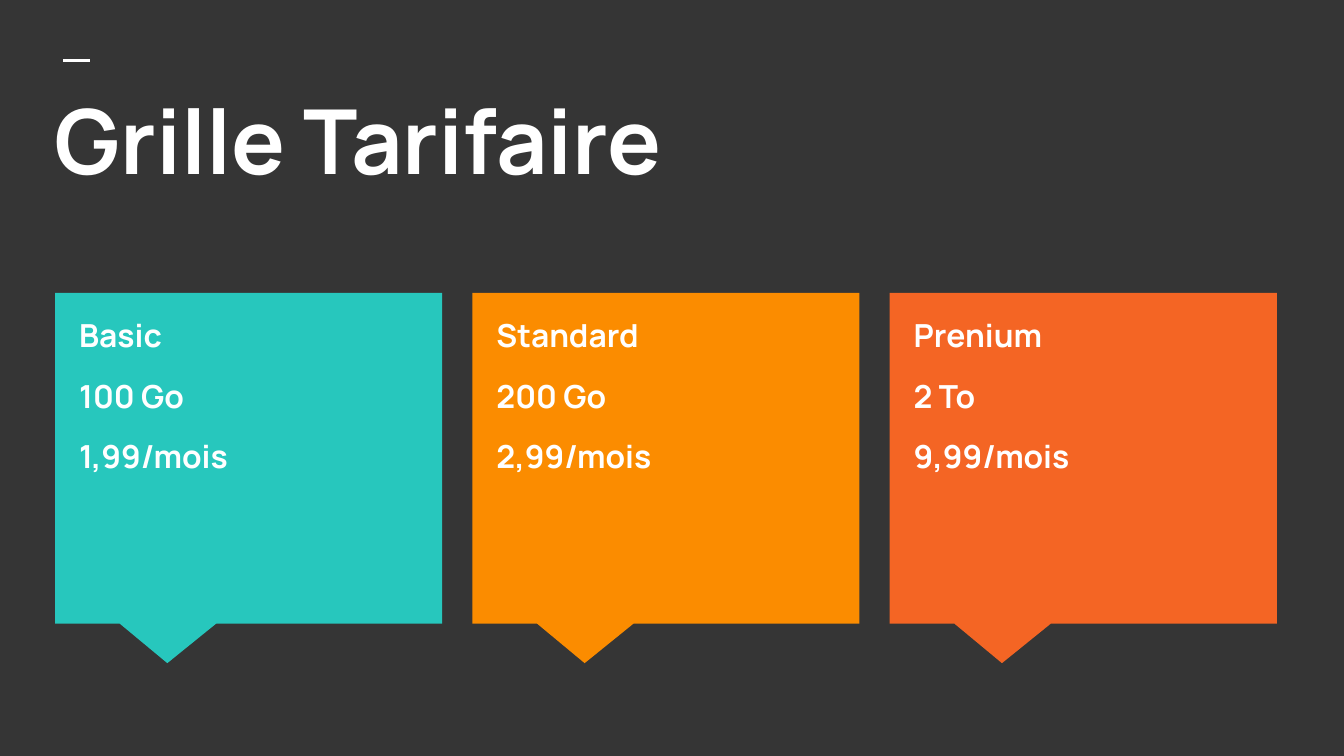
import pptx
import pptx.util
import pptx.dml.color
import pptx.enum.shapes
import pptx.enum.text
import pptx.oxml.ns
from lxml import etree

Inches = pptx.util.Inches
Pt = pptx.util.Pt
SHAPE = pptx.enum.shapes.MSO_SHAPE
COLORS = {
    "back": "353535",
    "white": "FFFFFF",
    "teal": "27C7BD",
    "amber": "FB8C00",
    "orange": "F46524",
}
PLANS = [
    ("teal", ["Basic", "100 Go", "1,99/mois"]),
    ("amber", ["Standard", "200 Go", "2,99/mois"]),
    ("orange", ["Prenium", "2 To", "9,99/mois"]),
]
LEFT = 0.41
STEP = 6.21 / 2


def rgb(name):
    return pptx.dml.color.RGBColor.from_string(COLORS[name])


def box(area):
    return [Inches(value) for value in area]


def add_text(slide, lines, area, size, gap=0):
    frame = slide.shapes.add_textbox(*box(area)).text_frame
    frame.word_wrap = True
    frame.vertical_anchor = pptx.enum.text.MSO_ANCHOR.TOP
    frame.margin_left = frame.margin_right = Inches(0.1)
    frame.margin_top = frame.margin_bottom = Inches(0.1)
    for i, line in enumerate(lines):
        para = frame.paragraphs[0] if i == 0 else frame.add_paragraph()
        para.space_before = Pt(gap if i else 0)
        run = para.add_run()
        run.text = line
        run.font.name = "Manrope"
        run.font.size = Pt(size)
        run.font.bold = True
        run.font.color.rgb = rgb("white")


def add_dash(slide):
    ends = box((0.47, 0.45, 0.67, 0.45))
    dash = slide.shapes.add_connector(
        pptx.enum.shapes.MSO_CONNECTOR.STRAIGHT, *ends)
    dash.line.color.rgb = rgb("white")
    dash.line.width = Pt(1.5)
    props = dash._element.spPr
    etree.SubElement(props, pptx.oxml.ns.qn("a:effectLst"))


def add_card(slide, left, color):
    card = slide.shapes.add_shape(
        SHAPE.RECTANGULAR_CALLOUT, *box((left, 2.18, 2.88, 2.46)))
    card.adjustments[0] = -0.21
    card.adjustments[1] = 0.62
    card.shadow.inherit = False
    card.fill.solid()
    card.fill.fore_color.rgb = rgb(color)
    card.line.fill.background()


def main():
    deck = pptx.Presentation()
    deck.slide_width = Inches(10)
    deck.slide_height = Inches(45 / 8)
    slide = deck.slides.add_slide(deck.slide_layouts[6])
    slide.background.fill.solid()
    slide.background.fill.fore_color.rgb = rgb("back")
    add_dash(slide)
    add_text(slide, ["Grille Tarifaire"], (0.31, 0.53, 9.43, 1.12), 48)
    for i, (color, lines) in enumerate(PLANS):
        left = LEFT + i * STEP
        add_card(slide, left, color)
        add_text(slide, lines, (left + 0.08, 2.25, 2.71, 2.19), 17, gap=12)
    deck.save("out.pptx")


if __name__ == "__main__":
    main()
